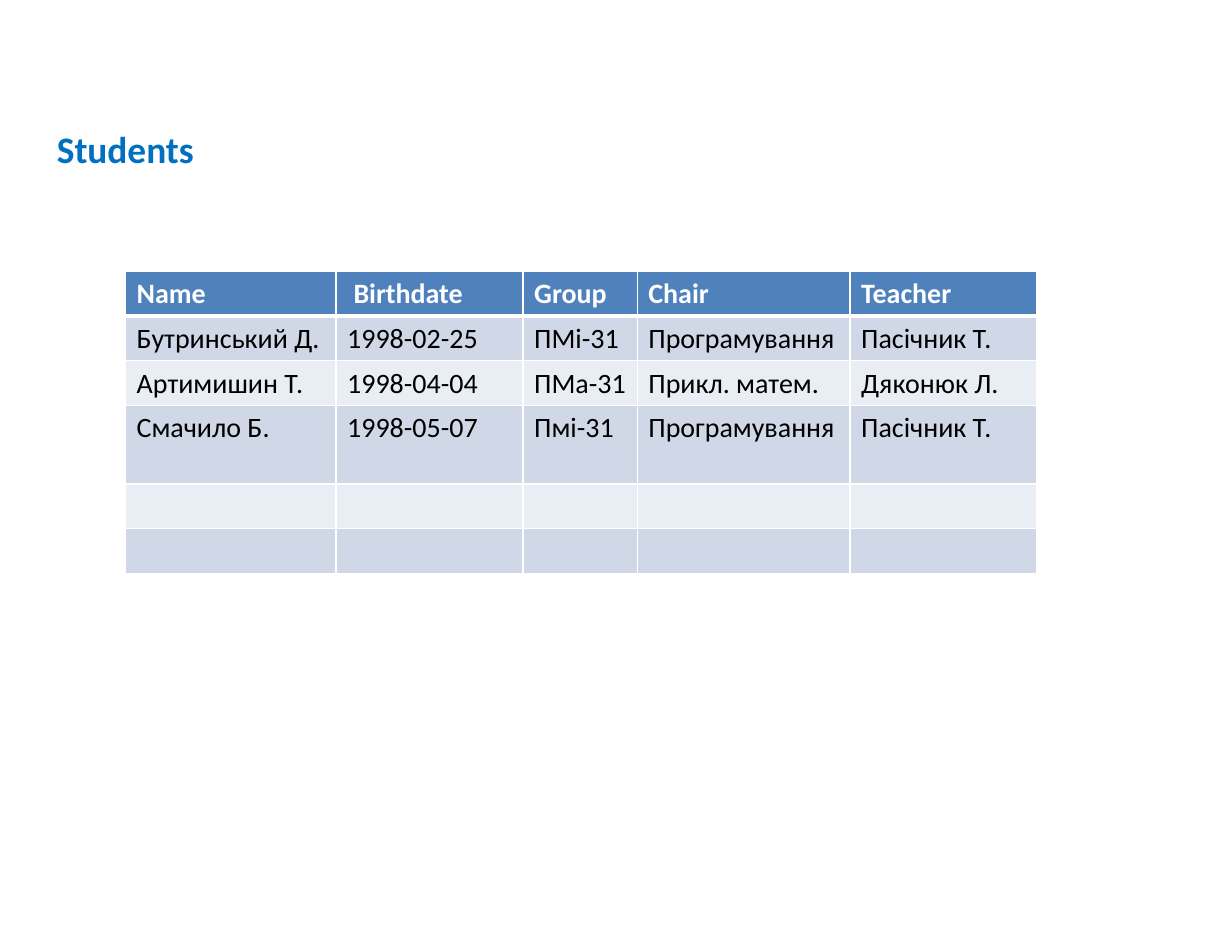
from dataclasses import dataclass

import pptx
import pptx.dml.color
import pptx.enum.text
import pptx.oxml
import pptx.oxml.ns
import pptx.util
from pptx.util import Inches


@dataclass(frozen=True)
class Theme:
    font: str = "Calibri"
    title_size: int = 24
    table_size: int = 18
    title: str = "0070C0"
    header: str = "4F81BD"
    header_text: str = "FFFFFF"
    body_text: str = "000000"
    bands: tuple[str, str] = ("D0D8E8", "E9EDF4")
    grid: str = "FFFFFF"
    grid_width: int = 1
    header_rule: int = 3


@dataclass(frozen=True)
class Student:
    name: str = ""
    birthdate: str = ""
    group: str = ""
    chair: str = ""
    teacher: str = ""
    height: float = 0.4

    def values(self) -> tuple[str, ...]:
        return self.name, self.birthdate, self.group, self.chair, self.teacher


THEME = Theme()
COLUMN_WIDTHS = (1.88, 1.67, 1.02, 1.9, 1.67)
STUDENTS = (
    Student("Name", " Birthdate", "Group", "Chair", "Teacher"),
    Student("Бутринський Д.", "1998-02-25", "ПМі-31", "Програмування", "Пасічник Т."),
    Student("Артимишин Т.", "1998-04-04", "ПМа-31", "Прикл. матем.", "Дяконюк Л."),
    Student("Смачило Б.", "1998-05-07", "Пмі-31", "Програмування", "Пасічник Т.", 0.7),
    Student(),
    Student(),
)


def rgb(color: str) -> pptx.dml.color.RGBColor:
    return pptx.dml.color.RGBColor.from_string(color)


def add_run(paragraph, text: str, size: int, color: str, bold: bool) -> None:
    run = paragraph.add_run()
    run.text = text
    run.font.name = THEME.font
    run.font.size = pptx.util.Pt(size)
    run.font.bold = bold
    run.font.color.rgb = rgb(color)


def add_border(cell, side: str, width: int) -> None:
    line = pptx.oxml.parse_xml(
        f'<a:ln{side} {pptx.oxml.ns.nsdecls("a")} w="{pptx.util.Pt(width)}">'
        f'<a:solidFill><a:srgbClr val="{THEME.grid}"/></a:solidFill></a:ln{side}>'
    )
    cell._tc.get_or_add_tcPr().append(line)


def style_cell(cell, text: str, row: int) -> None:
    is_header = row == 0
    # Borders precede the fill in the cell properties
    for side in "LRTB":
        meets_rule = (side == "B" and row == 0) or (side == "T" and row == 1)
        add_border(cell, side, THEME.header_rule if meets_rule else THEME.grid_width)
    cell.fill.solid()
    cell.fill.fore_color.rgb = rgb(THEME.header if is_header else THEME.bands[(row - 1) % 2])
    paragraph = cell.text_frame.paragraphs[0]
    paragraph.font.size = pptx.util.Pt(THEME.table_size)
    if text:
        color = THEME.header_text if is_header else THEME.body_text
        add_run(paragraph, text, THEME.table_size, color, is_header)


def add_heading(slide) -> None:
    heading = slide.shapes.add_textbox(Inches(0.41), Inches(1.08), Inches(1.44), Inches(0.5))
    frame = heading.text_frame
    frame.word_wrap = False
    frame.auto_size = pptx.enum.text.MSO_AUTO_SIZE.SHAPE_TO_FIT_TEXT
    add_run(frame.paragraphs[0], "Students", THEME.title_size, THEME.title, True)


def add_students(slide) -> None:
    register = slide.shapes.add_table(
        len(STUDENTS), len(COLUMN_WIDTHS), Inches(1.12), Inches(2.42),
        Inches(sum(COLUMN_WIDTHS)), Inches(sum(s.height for s in STUDENTS)),
    ).table
    for column, width in zip(register.columns, COLUMN_WIDTHS):
        column.width = Inches(width)
    for row, student in enumerate(STUDENTS):
        register.rows[row].height = Inches(student.height)
        for column, text in enumerate(student.values()):
            style_cell(register.cell(row, column), text, row)


# Slide setup
deck = pptx.Presentation()
deck.slide_width = Inches(11)
deck.slide_height = Inches(8.5)
students_slide = deck.slides.add_slide(deck.slide_layouts[6])

# Heading and table
add_heading(students_slide)
add_students(students_slide)

deck.save("out.pptx")
